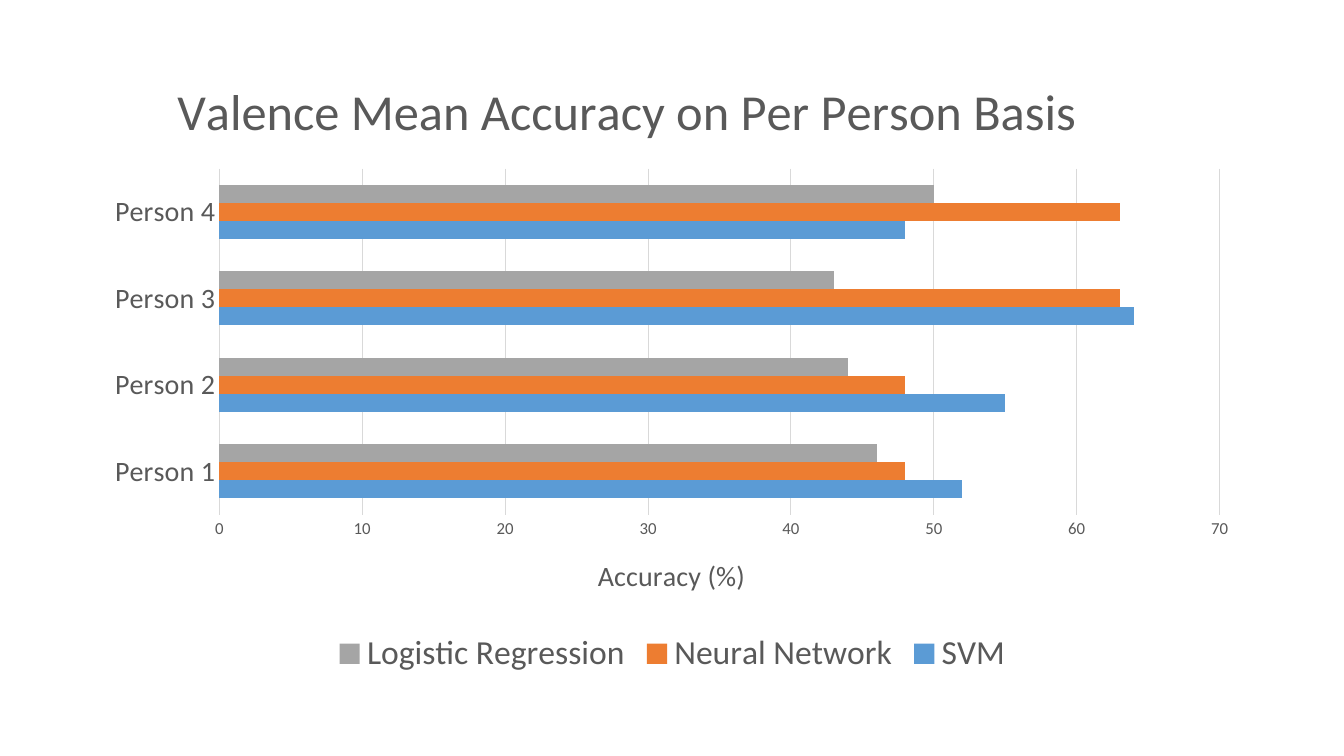
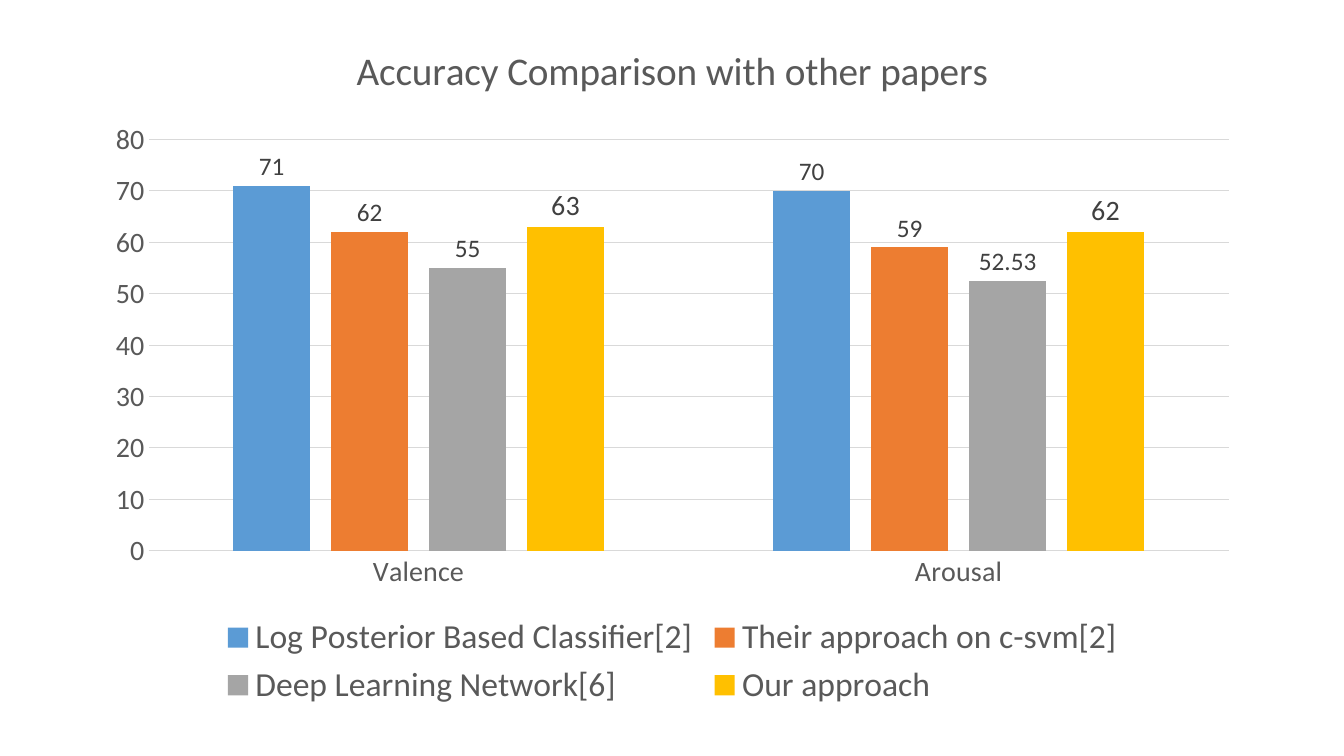
from lxml import etree
from pptx import Presentation
from pptx.chart.data import CategoryChartData
from pptx.dml.color import RGBColor
from pptx.enum.chart import XL_CHART_TYPE, XL_LABEL_POSITION, XL_LEGEND_POSITION, XL_TICK_MARK
from pptx.oxml.ns import qn
from pptx.util import Pt

BARS = XL_CHART_TYPE.BAR_CLUSTERED
COLUMNS = XL_CHART_TYPE.COLUMN_CLUSTERED
OUTSIDE_END = XL_LABEL_POSITION.OUTSIDE_END
BOTTOM = XL_LEGEND_POSITION.BOTTOM
NO_TICK = XL_TICK_MARK.NONE

FONT = "Calibri"
BLUE = RGBColor(0x5B, 0x9B, 0xD5)
ORANGE = RGBColor(0xED, 0x7D, 0x31)
GRAY = RGBColor(0xA5, 0xA5, 0xA5)
GOLD = RGBColor(0xFF, 0xC0, 0x00)
BLACK = RGBColor(0x00, 0x00, 0x00)
TEXT = RGBColor(0x59, 0x59, 0x59)
LABEL = RGBColor(0x40, 0x40, 0x40)
GRID = RGBColor(0xD9, 0xD9, 0xD9)
SERIES_COLORS = (BLUE, ORANGE, GRAY, GOLD)

SLIDE_SIZE = (960, 540)
BLANK_LAYOUT = 6
CHART_LEFT, CHART_WIDTH = 66.2, 828


def style_font(font, size, color=TEXT):
    """Apply the shared chart typeface with a size and colour."""
    font.name = FONT
    font.size = Pt(size)
    font.bold = False
    font.color.rgb = color


def style_line(line):
    """Draw a thin light gray line."""
    line.width = Pt(0.75)
    line.color.rgb = GRID


def set_title(title, text, size):
    """Write a chart or axis title."""
    title.text_frame.text = text
    style_font(title.text_frame.paragraphs[0].runs[0].font, size)


def place_part(part, index, settings):
    """Give a chart part a manual layout, as its child at the index."""
    layout = part.find(qn("c:layout"))
    if layout is None:
        layout = etree.Element(qn("c:layout"))
        part.insert(index, layout)
    manual = etree.SubElement(layout, qn("c:manualLayout"))
    for tag, value in settings.items():
        etree.SubElement(manual, qn(f"c:{tag}")).set("val", str(value))


def place_title_and_plot(chart, box, title_at, plot_box):
    """Place title and plot by points measured from the chart's corner."""
    width, height = box[2:]
    edges = {"xMode": "edge", "yMode": "edge"}
    title_left, title_top = title_at
    place_part(chart.chart_title._element, 1,
               edges | {"x": title_left / width, "y": title_top / height})
    left, top, plot_width, plot_height = plot_box
    place_part(chart._chartSpace.chart.plotArea, 0,
               {"layoutTarget": "inner"} | edges
               | {"x": left / width, "y": top / height,
                  "w": plot_width / width, "h": plot_height / height})


def style_axes(chart, value_size, maximum):
    """Format the category axis, the value axis and its gridlines."""
    categories, values = chart.category_axis, chart.value_axis
    for axis, size in ((categories, 20), (values, value_size)):
        axis.major_tick_mark = axis.minor_tick_mark = NO_TICK
        style_font(axis.tick_labels.font, size)
    style_line(categories.format.line)
    values.format.line.fill.background()
    values.has_major_gridlines = True
    style_line(values.major_gridlines.format.line)
    values.minimum_scale, values.maximum_scale = 0, maximum
    values.major_unit = 10


def add_accuracy_chart(prs, kind, box, title, title_size, categories, series,
                       gap, value_size, maximum):
    """Add a slide with one titled accuracy chart and return the chart."""
    data = CategoryChartData()
    data.categories = categories
    for name, accuracies in series:
        data.add_series(name, accuracies)
    slide = prs.slides.add_slide(prs.slide_layouts[BLANK_LAYOUT])
    chart = slide.shapes.add_chart(kind, *map(Pt, box), data).chart
    style_font(chart.font, 10, BLACK)
    chart.has_title = True
    set_title(chart.chart_title, title, title_size)
    chart.has_legend = True
    chart.legend.position = BOTTOM
    chart.legend.include_in_layout = False
    style_font(chart.legend.font, 24)
    style_axes(chart, value_size, maximum)
    plot = chart.plots[0]
    plot.gap_width = gap
    plot.vary_by_categories = False
    for bars, color in zip(plot.series, SERIES_COLORS):
        bars.format.fill.solid()
        bars.format.fill.fore_color.rgb = color
        bars.invert_if_negative = False
    return chart


def add_person_slide(prs):
    """Show the valence accuracy of three models for each person."""
    box = (CHART_LEFT, 48, CHART_WIDTH, 438.5)
    chart = add_accuracy_chart(
        prs, BARS, box,
        "Valence Mean Accuracy on Per Person Basis", 36,
        [f"Person {number}" for number in range(1, 5)],
        [("SVM", (52, 55, 64, 48)),
         ("Neural Network", (48, 48, 63, 63)),
         ("Logistic Regression", (46, 44, 43, 50))],
        gap=182, value_size=12, maximum=70)
    place_title_and_plot(chart, box, (54, -5.5), (90.5, 72.5, 714.5, 247.2))
    set_title(chart.value_axis.axis_title, "Accuracy (%)", 20)


def add_comparison_slide(prs):
    """Compare the accuracy with that of other papers."""
    chart = add_accuracy_chart(
        prs, COLUMNS, (CHART_LEFT, 13, CHART_WIDTH, 496),
        "Accuracy Comparison with other papers", 28,
        ["Valence", "Arousal"],
        [("Log Posterior Based Classifier[2]", (71, 70)),
         ("Their approach on c-svm[2]", (62, 59)),
         ("Deep Learning Network[6]", (55, 52.53)),
         ("Our approach", (63, 62))],
        gap=219, value_size=20, maximum=80)
    plot = chart.plots[0]
    plot.overlap = -27
    for bars, size in zip(plot.series, (18, 18, 18, 20)):
        labels = bars.data_labels
        labels.show_value = True
        labels.position = OUTSIDE_END
        style_font(labels.font, size, LABEL)


def main():
    """Build and save the presentation."""
    prs = Presentation()
    prs.slide_width, prs.slide_height = map(Pt, SLIDE_SIZE)
    add_person_slide(prs)
    add_comparison_slide(prs)
    prs.save("out.pptx")


if __name__ == "__main__":
    main()
